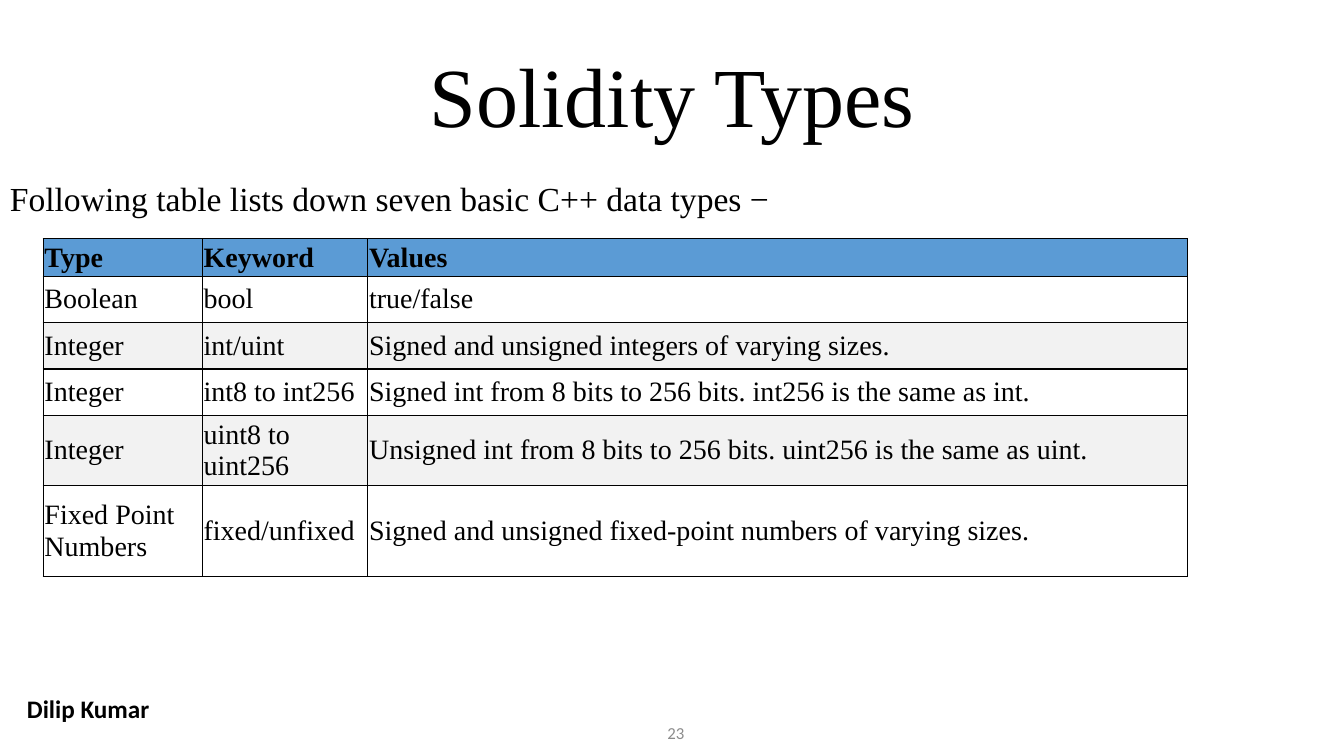
"""Build the Solidity Types slide with its table of data types."""
from dataclasses import dataclass

from lxml import etree
from pptx import Presentation
from pptx.dml.color import RGBColor
from pptx.enum import text as t
from pptx.oxml import ns
from pptx.util import Cm, Pt

BLACK = RGBColor(0x00, 0x00, 0x00)
GREY = RGBColor(0x8C, 0x8C, 0x8C)
BLUE = RGBColor(0x5B, 0x9B, 0xD5)
WHITE = RGBColor(0xFF, 0xFF, 0xFF)
LIGHT = RGBColor(0xF2, 0xF2, 0xF2)
SERIF = "Times New Roman"
SANS = "Calibri"
SLIDE_W = 33.87
CELL_INSET = 0.03

COLUMN_WIDTHS = (4.01, 4.17, 20.65)
ROW_HEIGHTS = (0.94, 1.17, 1.17, 1.17, 1.17, 2.31)
TYPE_ROWS = (
    ("Type", "Keyword", "Values"),
    ("Boolean", "bool", "true/false"),
    ("Integer", "int/uint", "Signed and unsigned integers of varying sizes."),
    ("Integer", "int8 to int256",
     "Signed int from 8 bits to 256 bits. int256 is the same as int."),
    ("Integer", "uint8 to uint256",
     "Unsigned int from 8 bits to 256 bits. uint256 is the same as uint."),
    ("Fixed Point Numbers", "fixed/unfixed",
     "Signed and unsigned fixed-point numbers of varying sizes."),
)


@dataclass(frozen=True)
class Label:
    text: str
    box: tuple[float, float, float, float]
    size: float
    font: str = SERIF
    color: RGBColor = BLACK
    bold: bool = False
    align: t.PP_ALIGN = t.PP_ALIGN.LEFT
    anchor: t.MSO_ANCHOR = t.MSO_ANCHOR.TOP
    spacing: float = 1.0
    inset: float = 0.25


LABELS = (
    Label("Dilip Kumar", (0, 17.35, 4.72, 1.63), 18, SANS, bold=True, inset=0.68),
    Label("Solidity Types", (0, 0.03, SLIDE_W, 3.76), 60,
          align=t.PP_ALIGN.CENTER, anchor=t.MSO_ANCHOR.BOTTOM, spacing=0.9),
    Label("Following table lists down seven basic C++ data types −",
          (0, 3.86, SLIDE_W, 15.19), 24, spacing=1.5),
    Label("23", (16.38, 17.96, 1.12, 1.02), 12, SANS, GREY,
          align=t.PP_ALIGN.RIGHT, anchor=t.MSO_ANCHOR.MIDDLE),
)


def apply(target: object, values: dict) -> None:
    """Set each named attribute on the target."""
    for name, value in values.items():
        setattr(target, name, value)


def write(p, text: str, size: float, font: str, color: RGBColor, bold: bool) -> None:
    """Put one formatted run into a paragraph."""
    r = p.add_run()
    r.text = text
    apply(r.font, {"size": Pt(size), "name": font, "bold": bold})
    r.font.color.rgb = color


def draw_label(s, label: Label) -> None:
    """Draw a text box on the slide."""
    tf = s.shapes.add_textbox(*map(Cm, label.box)).text_frame
    apply(tf, {"word_wrap": True, "vertical_anchor": label.anchor,
               "margin_left": Cm(label.inset)})
    p = tf.paragraphs[0]
    apply(p, {"alignment": label.align, "line_spacing": label.spacing})
    write(p, label.text, label.size, label.font, label.color, label.bold)


def draw_borders(cell) -> None:
    """Give a cell a thin black line on all four sides."""
    props = cell._tc.get_or_add_tcPr()
    for side in ("lnL", "lnR", "lnT", "lnB"):
        line = etree.SubElement(props, ns.qn(f"a:{side}"), w=str(Pt(1)))
        fill = etree.SubElement(line, ns.qn("a:solidFill"))
        etree.SubElement(fill, ns.qn("a:srgbClr"), val=str(BLACK))


def draw_table(s) -> None:
    """Draw the table of types with a blue header and banded rows."""
    frame = s.shapes.add_table(
        len(TYPE_ROWS), len(COLUMN_WIDTHS), Cm(1.09), Cm(6.02),
        Cm(sum(COLUMN_WIDTHS)), Cm(sum(ROW_HEIGHTS)))
    table = frame.table
    for column, width in zip(table.columns, COLUMN_WIDTHS):
        column.width = Cm(width)
    margins = {f"margin_{side}": Cm(CELL_INSET)
               for side in ("left", "right", "top", "bottom")}
    for i, (row, height, texts) in enumerate(zip(table.rows, ROW_HEIGHTS, TYPE_ROWS)):
        row.height = Cm(height)
        header = i == 0
        color = BLUE if header else (LIGHT, WHITE)[i % 2]
        for cell, text in zip(row.cells, texts):
            apply(cell, {**margins, "vertical_anchor": t.MSO_ANCHOR.MIDDLE})
            draw_borders(cell)
            cell.fill.solid()
            cell.fill.fore_color.rgb = color
            write(cell.text_frame.paragraphs[0], text, 20, SERIF, BLACK, header)


def main() -> None:
    """Create the presentation and save it."""
    prs = Presentation()
    apply(prs, {"slide_width": Cm(SLIDE_W), "slide_height": Cm(19.05)})
    s = prs.slides.add_slide(prs.slide_layouts[6])
    for label in LABELS:
        draw_label(s, label)
    draw_table(s)
    prs.save("out.pptx")


if __name__ == "__main__":
    main()
